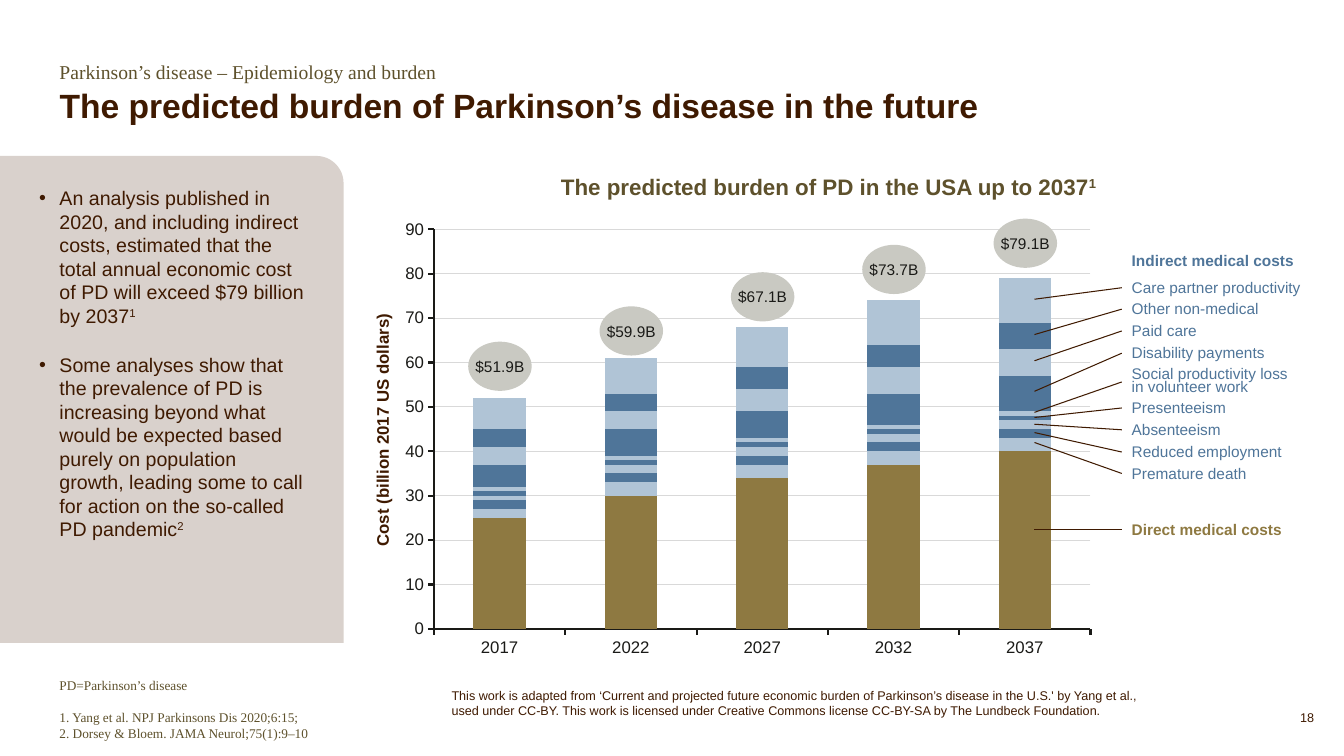
from dataclasses import dataclass

from lxml.etree import SubElement
from pptx import Presentation
from pptx.chart.data import CategoryChartData
from pptx.dml.color import RGBColor
from pptx.enum.chart import XL_CHART_TYPE, XL_TICK_MARK
from pptx.enum.shapes import MSO_CONNECTOR, MSO_SHAPE
from pptx.enum.text import MSO_ANCHOR, MSO_AUTO_SIZE, PP_ALIGN
from pptx.oxml import parse_xml
from pptx.oxml.ns import nsdecls, qn
from pptx.util import Cm, Pt


@dataclass(frozen=True)
class Theme:
    sans: str = "Arial"
    serif: str = "Times New Roman"
    brown: RGBColor = RGBColor(0x3F, 0x1A, 0x01)
    olive: RGBColor = RGBColor(0x5E, 0x51, 0x2C)
    gold: RGBColor = RGBColor(0x8E, 0x79, 0x41)
    blue: RGBColor = RGBColor(0x4F, 0x75, 0x99)
    pale_blue: RGBColor = RGBColor(0xB0, 0xC4, 0xD6)
    black: RGBColor = RGBColor(0x1A, 0x1A, 0x17)
    panel: RGBColor = RGBColor(0xD9, 0xD1, 0xCC)
    bubble: RGBColor = RGBColor(0xC9, 0xC9, 0xC2)
    grid: RGBColor = RGBColor(0xD9, 0xD9, 0xD9)
    title: float = 24
    heading: float = 16
    body: float = 14
    axis: float = 12
    label: float = 11
    reference: float = 9.5
    small: float = 9


THEME = Theme()

YEARS = ["2017", "2022", "2027", "2032", "2037"]
COSTS = [
    ("Direct medical costs", [25, 30, 34, 37, 40]),
    ("Premature death", [2, 3, 3, 3, 3]),
    ("Reduced employment", [2, 2, 2, 2, 2]),
    ("Absenteeism", [1, 2, 2, 2, 2]),
    ("Presenteeism", [1, 1, 1, 1, 1]),
    ("Social productivity loss in volunteer work", [1, 1, 1, 1, 1]),
    ("Disability payments", [5, 6, 6, 7, 8]),
    ("Paid care", [4, 4, 5, 6, 6]),
    ("Other non-medical", [4, 4, 5, 5, 6]),
    ("Care partner productivity", [7, 8, 9, 10, 10]),
]
# Yearly total and top of its bubble in cm
TOTALS = [("$51.9B", 8.61), ("$59.9B", 7.72), ("$67.1B", 6.86), ("$73.7B", 6.17), ("$79.1B", 5.51)]
# Label top, label width and height of the pointer's end, in cm, in the order of COSTS
LABEL_PLACES = [
    (12.98, 4.32, 13.35), (11.56, 3.43, 11.15), (11.02, 4.32, 10.9),
    (10.46, 2.77, 10.69), (9.91, 2.92, 10.52), (9.17, 4.62, 10.39),
    (8.53, 3.89, 9.86), (7.97, 2.16, 9.09), (7.42, 3.73, 8.43),
    (6.88, 4.8, 7.54),
]
FINDINGS = [
    ("An analysis published in 2020, and including indirect costs, estimated that the total "
     "annual economic cost of PD will exceed $79 billion by 2037", "1"),
    ("Some analyses show that the prevalence of PD is increasing beyond what would be expected "
     "based purely on population growth, leading some to call for action on the so-called "
     "PD pandemic", "2"),
]
REFERENCES = [
    "PD=Parkinson’s disease",
    "1. Yang et al. NPJ Parkinsons Dis 2020;6:15;",
    "2. Dorsey & Bloem. JAMA Neurol;75(1):9–10",
]
LICENCE = ("This work is adapted from ‘Current and projected future economic burden of "
           "Parkinson’s disease in the U.S.' by Yang et al., used under CC-BY. This work is "
           "licensed under Creative Commons license CC-BY-SA by The Lundbeck Foundation.")


def style(font, size, color, name=THEME.sans, bold=False):
    font.size, font.name, font.bold = Pt(size), name, bold
    font.color.rgb = color


def set_insets(frame, left=0, top=0, right=0, bottom=0):
    frame.margin_left, frame.margin_top = Cm(left), Cm(top)
    frame.margin_right, frame.margin_bottom = Cm(right), Cm(bottom)


def add_superscript(paragraph, mark, *font_style, **font_options):
    run = paragraph.add_run()
    run.text = mark
    style(run.font, *font_style, **font_options)
    run.font._element.set("baseline", "30000")


def add_text(slide, box, lines, size, color, name=THEME.sans, bold=False,
             align=PP_ALIGN.LEFT, wrap=True, flush=False):
    """Add a text box with one paragraph a line; flush removes its insets."""
    text_box = slide.shapes.add_textbox(*map(Cm, box))
    frame = text_box.text_frame
    frame.word_wrap = wrap
    if flush:
        set_insets(frame)
    frame.text = "\n".join(lines)
    for paragraph in frame.paragraphs:
        paragraph.alignment = align
        for run in paragraph.runs:
            style(run.font, size, color, name, bold)
    return text_box


def add_filled_shape(slide, kind, box, color):
    shape = slide.shapes.add_shape(kind, *map(Cm, box))
    shape.shadow.inherit = False
    shape.fill.solid()
    shape.fill.fore_color.rgb = color
    shape.line.fill.background()
    return shape


def format_title(slide):
    title = slide.shapes.title
    title.left, title.top, title.width, title.height = map(Cm, (1.5, 2.26, 25.6, 0.91))
    frame = title.text_frame
    frame.text = "The predicted burden of Parkinson’s disease in the future"
    frame.auto_size = MSO_AUTO_SIZE.NONE
    frame.vertical_anchor = MSO_ANCHOR.BOTTOM
    set_insets(frame)
    heading = frame.paragraphs[0]
    heading.alignment = PP_ALIGN.LEFT
    heading.line_spacing = 0.9
    style(heading.runs[0].font, THEME.title, THEME.brown, bold=True)


def add_findings(slide):
    panel = add_filled_shape(slide, MSO_SHAPE.ROUND_1_RECTANGLE, (0, 3.93, 8.66, 12.27), THEME.panel)
    panel.adjustments[0] = 0.079
    frame = panel.text_frame
    frame.word_wrap = True
    frame.vertical_anchor = MSO_ANCHOR.TOP
    set_insets(frame, 0.99, 0.76, 0.76, 0.76)
    frame.text = "\n".join(text for text, _ in FINDINGS)
    for index, (paragraph, (_, mark)) in enumerate(zip(frame.paragraphs, FINDINGS)):
        paragraph.alignment = PP_ALIGN.LEFT
        paragraph.space_before = Pt(18 if index else 0)
        properties = paragraph._p.get_or_add_pPr()
        properties.set("marL", str(Cm(0.51)))
        properties.set("indent", str(-Cm(0.51)))
        SubElement(properties, qn("a:buFont"), typeface=THEME.sans)
        SubElement(properties, qn("a:buChar"), char="•")
        style(paragraph.runs[0].font, THEME.body, THEME.brown)
        add_superscript(paragraph, mark, THEME.body, THEME.brown)


def add_cost_chart(slide):
    data = CategoryChartData()
    data.categories = YEARS
    for cost, values in COSTS:
        data.add_series(cost, values)
    chart = slide.shapes.add_chart(
        XL_CHART_TYPE.COLUMN_STACKED, *map(Cm, (9.85, 4.76, 23.11, 12.27)), data).chart
    chart.has_legend = chart.has_title = False
    style(chart.font, THEME.axis, THEME.black)

    plot = chart.plots[0]
    plot.gap_width, plot.overlap, plot.vary_by_categories = 150, 100, False
    for index, series in enumerate(plot.series):
        series.format.fill.solid()
        series.format.fill.fore_color.rgb = (
            (THEME.blue, THEME.pale_blue)[index % 2] if index else THEME.gold)

    for axis in (chart.category_axis, chart.value_axis):
        axis.major_tick_mark, axis.minor_tick_mark = XL_TICK_MARK.OUTSIDE, XL_TICK_MARK.NONE
        axis.format.line.color.rgb = THEME.black
        axis.format.line.width = Pt(1.5)
        style(axis.tick_labels.font, THEME.axis, THEME.black)
    cost_axis = chart.value_axis
    cost_axis.minimum_scale, cost_axis.maximum_scale, cost_axis.major_unit = 0, 90, 10
    cost_axis.tick_labels.number_format = "0"
    cost_axis.tick_labels.number_format_is_linked = False
    cost_axis.major_gridlines.format.line.color.rgb = THEME.grid
    cost_axis.major_gridlines.format.line.width = Pt(0.75)

    plot_area = chart._chartSpace.chart.plotArea
    for layout in plot_area.findall(qn("c:layout")):
        plot_area.remove(layout)
    plot_area.insert(0, parse_xml(
        f'<c:layout {nsdecls("c")}><c:manualLayout><c:layoutTarget val="inner"/>'
        '<c:xMode val="edge"/><c:yMode val="edge"/><c:x val="0.047"/><c:y val="0.083"/>'
        '<c:w val="0.716"/><c:h val="0.821"/></c:manualLayout></c:layout>'))


def add_totals(slide):
    for index, (total, top) in enumerate(TOTALS):
        bubble = add_filled_shape(
            slide, MSO_SHAPE.OVAL, (11.8 + 3.31 * index, top, 1.6, 1.24), THEME.bubble)
        frame = bubble.text_frame
        frame.word_wrap = False
        frame.vertical_anchor = MSO_ANCHOR.MIDDLE
        frame.text = total
        frame.paragraphs[0].alignment = PP_ALIGN.CENTER
        style(frame.paragraphs[0].runs[0].font, THEME.label, THEME.black)


def add_cost_labels(slide):
    add_text(slide, (28.27, 6.2, 4.62, 0.74), ["Indirect medical costs"],
             THEME.label, THEME.blue, bold=True, wrap=False)
    for (cost, _), (top, width, target) in zip(COSTS, LABEL_PLACES):
        direct = cost.startswith("Direct")
        two_lines = cost.startswith("Social")
        label = add_text(slide, (28.27, top, width, 0.91 if two_lines else 0.74), [cost],
                         THEME.label, THEME.gold if direct else THEME.blue,
                         bold=direct, wrap=two_lines)
        if two_lines:
            label.text_frame.paragraphs[0].line_spacing = 0.7
        pointer = slide.shapes.add_connector(
            MSO_CONNECTOR.STRAIGHT, label.left, label.top, Cm(26.07), Cm(target))
        pointer.begin_connect(label, 1)
        pointer.line.color.rgb = THEME.brown
        pointer.line.width = Pt(0.75)
        SubElement(pointer._element.spPr, qn("a:effectLst"))


def main():
    presentation = Presentation()
    presentation.slide_width, presentation.slide_height = Cm(33.87), Cm(19.05)
    slide = presentation.slides.add_slide(presentation.slide_layouts[5])

    add_text(slide, (1.5, 1.5, 25.6, 0.74), ["Parkinson’s disease – Epidemiology and burden"],
             THEME.body, THEME.olive, THEME.serif, flush=True)
    format_title(slide)
    add_findings(slide)
    references = add_text(slide, (1.5, 16.94, 25.6, 1.73), REFERENCES, THEME.reference,
                          THEME.olive, THEME.serif, flush=True).text_frame
    references.vertical_anchor = MSO_ANCHOR.BOTTOM
    references.paragraphs[1].space_before = Pt(11)
    add_text(slide, (31.47, 17.88, 1.65, 0.43), ["18"], THEME.small, THEME.brown,
             align=PP_ALIGN.RIGHT, flush=True)

    chart_heading = add_text(
        slide, (9.4, 4.24, 22.96, 0.94), ["The predicted burden of PD in the USA up to 2037"],
        THEME.heading, THEME.olive, bold=True, align=PP_ALIGN.CENTER)
    add_superscript(chart_heading.text_frame.paragraphs[0], "1",
                    THEME.heading, THEME.olive, bold=True)
    add_cost_chart(slide)
    add_cost_labels(slide)
    add_totals(slide)
    axis_title = add_text(slide, (4.65, 10.46, 9.96, 0.76), ["Cost (billion 2017 US dollars)"],
                          THEME.axis, THEME.brown, bold=True, align=PP_ALIGN.CENTER)
    axis_title.rotation = 270
    add_text(slide, (11.13, 17.2, 18.16, 1.02), [LICENCE], THEME.small, THEME.brown)

    presentation.save("out.pptx")


if __name__ == "__main__":
    main()
